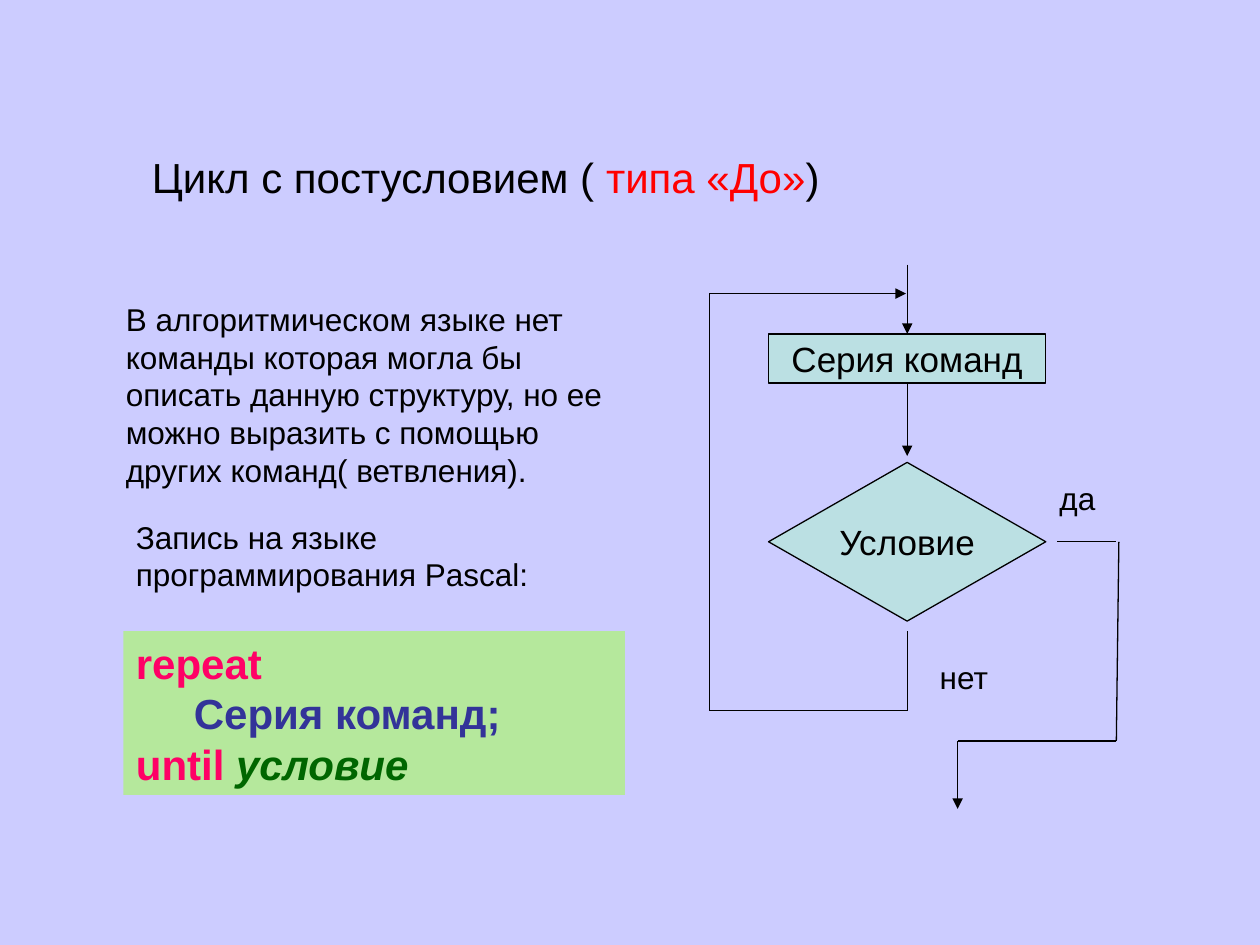
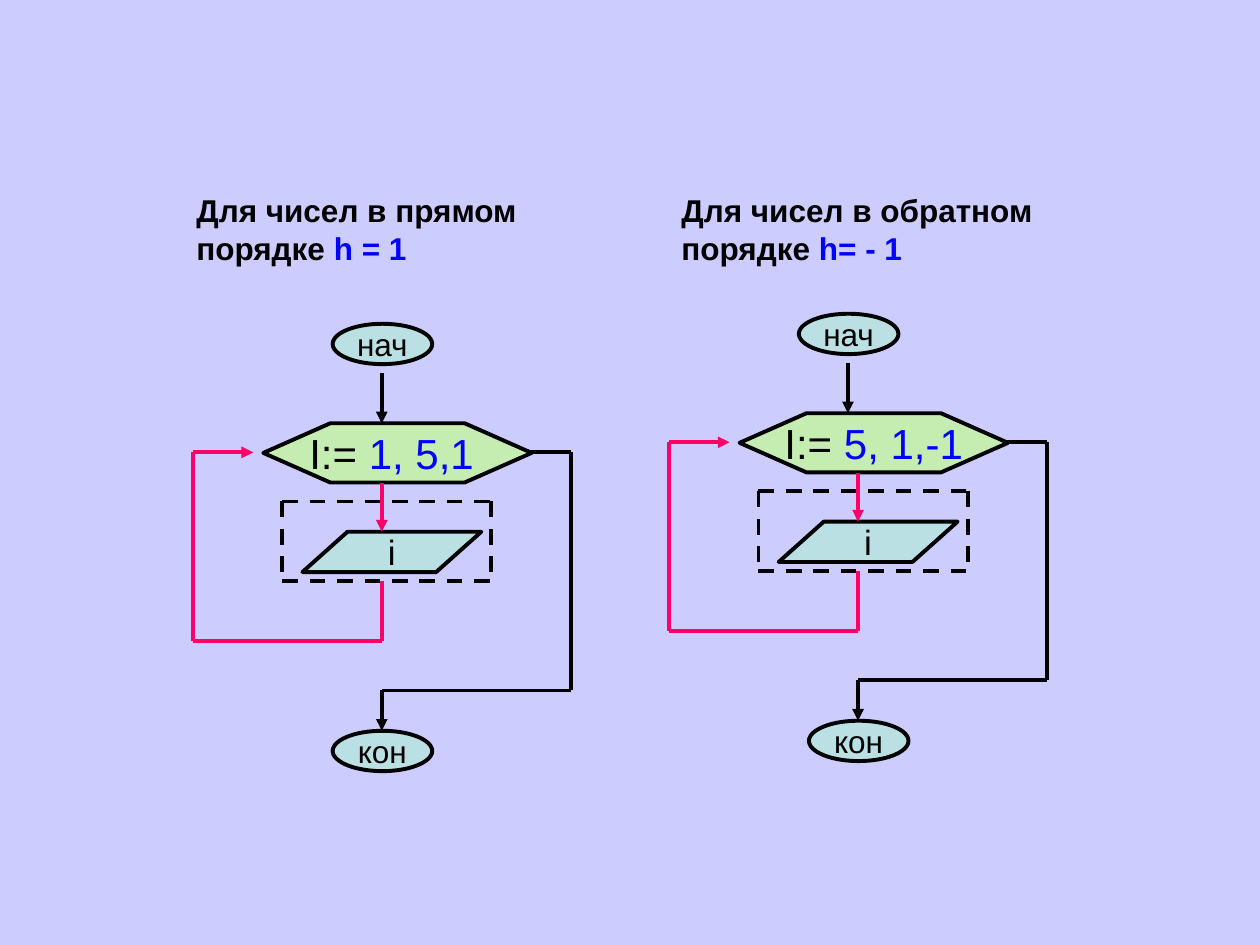
from dataclasses import dataclass
from itertools import pairwise
from typing import Optional

from pptx import Presentation
from pptx.dml.color import RGBColor
from pptx.enum.dml import MSO_LINE_DASH_STYLE as Dash
from pptx.enum.shapes import MSO_CONNECTOR as Connector, MSO_SHAPE as Preset
from pptx.enum.text import MSO_ANCHOR as Anchor, PP_ALIGN as Align
from pptx.oxml.ns import qn
from pptx.util import Inches, Pt

FONT = "Arial"
BACKGROUND, BLACK, PINK, BLUE = "CCCCFF", "000000", "FF0066", "0000FF"
BLOCK_FILL, LOOP_FILL, CODE_FILL = "BBE0E3", "C5EDB1", "B5E89C"
THIN, THICK = 0.75, 2.25

Point = tuple[float, float]


@dataclass(frozen=True)
class TextRun:
    text: str
    colour: str = BLACK
    bold: bool = False
    italic: bool = False


@dataclass(frozen=True)
class Box:
    left: float
    top: float
    width: float
    height: float

    def lengths(self) -> list:
        return [Inches(n) for n in (self.left, self.top, self.width, self.height)]


@dataclass(frozen=True)
class Block:
    """A flowchart block with one centred line of text."""
    preset: Preset
    box: Box
    runs: list[TextRun]
    size: int
    fill: str = BLOCK_FILL
    adjustment: Optional[float] = None


@dataclass(frozen=True)
class Route:
    """A chain of straight lines through the given points."""
    points: list[Point]
    colour: str = BLACK
    arrow: bool = False
    dashed: bool = False


@dataclass(frozen=True)
class ForLoop:
    """A flowchart of a counted loop, placed by its axis and top."""
    axis: float
    top: float
    start_shift: float
    limits: str
    heading_left: float
    heading: str
    step: str


def rgb(colour: str) -> RGBColor:
    return RGBColor.from_string(colour)


def write(paragraph, runs: list[TextRun], size: int, align=Align.LEFT) -> None:
    paragraph.alignment = align
    for item in runs:
        run = paragraph.add_run()
        run.text = item.text
        font = run.font
        font.name, font.size = FONT, Pt(size)
        font.bold, font.italic = item.bold, item.italic
        font.color.rgb = rgb(item.colour)


def set_frame(text_frame, wrap: bool, anchor: Anchor) -> None:
    text_frame.word_wrap = wrap
    text_frame.vertical_anchor = anchor
    text_frame.margin_left = text_frame.margin_right = Inches(0.1)
    text_frame.margin_top = text_frame.margin_bottom = Inches(0.05)


def add_text(slide, box: Box, paragraphs: list[list[TextRun]], size: int):
    shape = slide.shapes.add_textbox(*box.lengths())
    text_frame = shape.text_frame
    set_frame(text_frame, True, Anchor.TOP)
    for index, runs in enumerate(paragraphs):
        paragraph = text_frame.add_paragraph() if index else text_frame.paragraphs[0]
        write(paragraph, runs, size)
    return shape


def add_block(slide, block: Block, line_width: float):
    shape = slide.shapes.add_shape(block.preset, *block.box.lengths())
    shape.shadow.inherit = False
    if block.adjustment is not None:
        shape.adjustments[0] = block.adjustment
    shape.fill.solid()
    shape.fill.fore_color.rgb = rgb(block.fill)
    shape.line.color.rgb = rgb(BLACK)
    shape.line.width = Pt(line_width)
    set_frame(shape.text_frame, False, Anchor.MIDDLE)
    write(shape.text_frame.paragraphs[0], block.runs, block.size, Align.CENTER)
    return shape


def add_route(slide, route: Route, line_width: float) -> list:
    connectors = []
    for start, end in pairwise(route.points):
        connector = slide.shapes.add_connector(
            Connector.STRAIGHT, *(Inches(n) for n in (*start, *end)))
        connector.line.color.rgb = rgb(route.colour)
        connector.line.width = Pt(line_width)
        if route.dashed:
            connector.line.dash_style = Dash.DASH
        properties = connector._element.spPr
        properties.append(properties.makeelement(qn("a:effectLst"), {}))
        connectors.append(connector)
    if route.arrow:
        line = connectors[-1]._element.spPr.find(qn("a:ln"))
        line.append(line.makeelement(qn("a:tailEnd"), {"type": "triangle"}))
    return connectors


def build_until_slide(presentation) -> None:
    slide = presentation.slides.add_slide(presentation.slide_layouts[5])
    title = slide.shapes.title
    title.left, title.top, title.width, title.height = Box(1.06, 1.15, 5.59, 0.5).lengths()
    set_frame(title.text_frame, True, Anchor.TOP)
    write(title.text_frame.paragraphs[0],
          [TextRun("Цикл с постусловием ( "), TextRun("типа «До»", "FF0000"), TextRun(")")],
          24, Align.CENTER)

    labels = [
        (Box(8.31, 3.75, 0.74, 0.4), "да"),
        (Box(7.36, 5.17, 0.63, 0.4), "нет"),
        (Box(0.9, 2.33, 4.02, 1.6),
         "В алгоритмическом языке нет команды которая могла бы описать данную "
         "структуру, но ее можно выразить с помощью других команд( ветвления)."),
        (Box(0.98, 4.06, 3.86, 0.7), "Запись на языке программирования Pascal:"),
    ]
    for box, text in labels:
        add_text(slide, box, [[TextRun(text)]], 18)

    code = add_text(slide, Box(0.98, 5.01, 3.98, 1.3), [
        [TextRun("repeat", PINK, bold=True)],
        [TextRun("Серия команд;", "333399", bold=True)],
        [TextRun("until ", PINK, bold=True),
         TextRun("условие", "006600", bold=True, italic=True)],
    ], 24)
    code.fill.solid()
    code.fill.fore_color.rgb = rgb(CODE_FILL)
    loop_body = code.text_frame.paragraphs[1]
    loop_body._p.get_or_add_pPr().set("marL", str(Inches(0.46)))

    axis = 7.2
    add_block(slide, Block(Preset.DIAMOND, Box(6.1, 3.67, 2.2, 1.26),
                           [TextRun("Условие")], 20), THIN)
    commands = add_block(slide, Block(Preset.RECTANGLE, Box(6.1, 2.65, 2.2, 0.39),
                                      [TextRun("Серия команд")], 20), THIN)
    entry, = add_route(slide, Route([(axis, 2.1), (axis, 2.65)], arrow=True), THIN)
    entry.end_connect(commands, 0)
    to_condition, = add_route(slide, Route([(axis, 3.04), (axis, 3.62)], arrow=True), THIN)
    to_condition.begin_connect(commands, 2)

    routes = [
        Route([(axis, 5.01), (axis, 5.64), (5.63, 5.64), (5.63, 2.33), (7.19, 2.33)],
              arrow=True),
        Route([(8.39, 4.3), (8.86, 4.3)]),
        Route([(8.88, 4.3), (8.86, 5.88), (7.6, 5.88), (7.6, 6.42)], arrow=True),
    ]
    for route in routes:
        add_route(slide, route, THIN)


def add_for_loop(slide, loop: ForLoop) -> None:
    axis, top = loop.axis, loop.top
    start_axis = axis + loop.start_shift
    header_top, header_middle, header_bottom = top + 0.79, top + 1.02, top + 1.26
    body_top, turn, exit_turn, end_top = top + 1.65, top + 2.52, top + 2.91, top + 3.23
    frame_left, frame_right = axis - 0.79, axis + 0.87
    frame_top, frame_bottom = top + 1.41, top + 2.04
    back, exit_side = axis - 1.5, axis + 1.5

    blocks = [
        Block(Preset.OVAL, Box(start_axis - 0.39, top, 0.79, 0.32), [TextRun("нач")], 18),
        Block(Preset.HEXAGON, Box(axis - 0.94, header_top, 2.13, 0.47),
              [TextRun("I:= "), TextRun(loop.limits, BLUE)], 24, LOOP_FILL, 1.13),
        Block(Preset.PARALLELOGRAM, Box(axis - 0.63, body_top, 1.42, 0.32),
              [TextRun("i")], 20, adjustment=1.12),
        Block(Preset.OVAL, Box(axis - 0.39, end_top, 0.79, 0.32), [TextRun("кон")], 18),
    ]
    for block in blocks:
        add_block(slide, block, THICK)

    corners = [(frame_left, frame_top), (frame_right, frame_top),
               (frame_right, frame_bottom), (frame_left, frame_bottom)]
    top_left, top_right, bottom_right, bottom_left = corners
    sides = [(top_left, bottom_left), (top_left, top_right),
             (bottom_left, bottom_right), (top_right, bottom_right)]
    routes = [
        Route([(start_axis, top + 0.39), (start_axis, header_top)], arrow=True),
        Route([(axis, header_bottom), (axis, body_top)], PINK, arrow=True),
        Route([(axis, frame_bottom), (axis, turn), (back, turn), (back, header_middle),
               (axis - 1.02, header_middle)], PINK, arrow=True),
        Route([(axis + 1.18, header_middle), (exit_side, header_middle),
               (exit_side, exit_turn), (axis, exit_turn), (axis, end_top)], arrow=True),
        *(Route(list(side), dashed=True) for side in sides),
    ]
    for route in routes:
        add_route(slide, route, THICK)

    add_text(slide, Box(loop.heading_left, 1.47, 3.31, 0.7),
             [[TextRun(loop.heading, bold=True), TextRun(loop.step, BLUE, bold=True)]], 18)


def build_for_slide(presentation) -> None:
    slide = presentation.slides.add_slide(presentation.slide_layouts[6])
    loops = [
        ForLoop(3.03, 2.57, 0, "1, 5,1 ", 1.46, "Для чисел в прямом порядке ", "h = 1"),
        ForLoop(6.81, 2.49, -0.08, "5, 1,-1", 5.31, "Для чисел в обратном порядке ", "h= - 1"),
    ]
    for loop in loops:
        add_for_loop(slide, loop)


def main() -> None:
    presentation = Presentation()
    presentation.slide_width, presentation.slide_height = Inches(10), Inches(7.5)
    background = presentation.slide_master.background.fill
    background.solid()
    background.fore_color.rgb = rgb(BACKGROUND)
    build_until_slide(presentation)
    build_for_slide(presentation)
    presentation.save("out.pptx")


if __name__ == "__main__":
    main()
